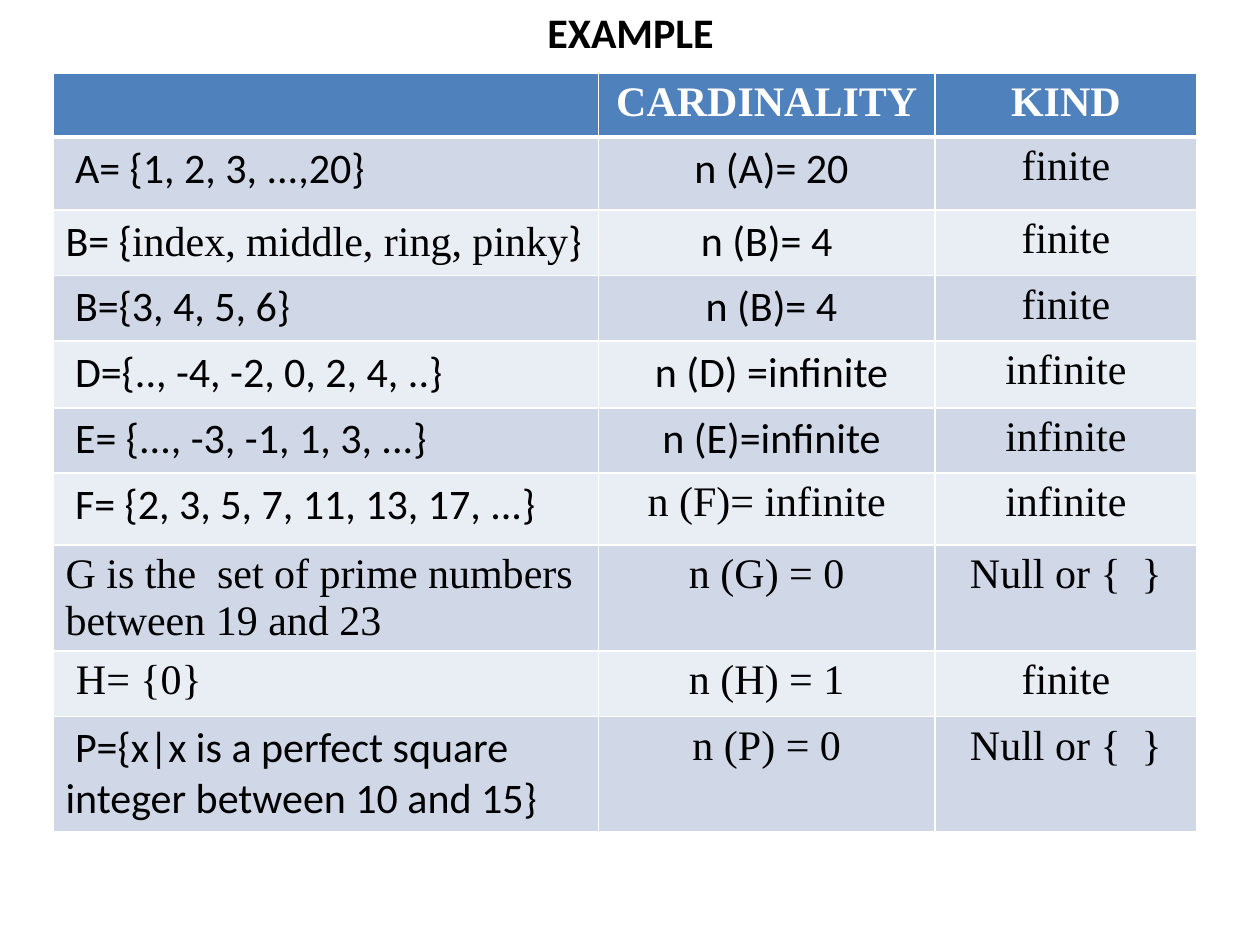
from lxml.etree import SubElement
from pptx import Presentation
from pptx.dml.color import RGBColor
from pptx.enum.text import MSO_ANCHOR, PP_ALIGN
from pptx.oxml.ns import qn
from pptx.util import Inches, Pt

WHITE = RGBColor(0xFF, 0xFF, 0xFF)
BLACK = RGBColor(0, 0, 0)
BLUE = RGBColor(0x4F, 0x81, 0xBD)
BANDS = (RGBColor(0xD0, 0xD8, 0xE8), RGBColor(0xE9, 0xED, 0xF4))
SANS, SERIF = "Calibri", "Times New Roman"
SIZE = Pt(24)

COLUMNS = (4.33, 2.67, 2.08)
ROWS = (0.5, 0.58, 0.52, 0.52, 0.53, 0.52, 0.57, 0.84, 0.52, 0.91)
HEADER = ("", "CARDINALITY", "KIND")
# Each row: set, cardinality, kind, then the fonts of the first two columns
SETS = (
    (" A= {1, 2, 3, ...,20}", " n (A)= 20", "finite", SANS, SANS),
    (("B= {", "index, middle, ring, pinky", "}"), "n (B)= 4", "finite", SANS, SANS),
    (" B={3, 4, 5, 6}", " n (B)= 4", "finite", SANS, SANS),
    (" D={.., -4, -2, 0, 2, 4, ..}", " n (D) =infinite", "infinite", SANS, SANS),
    (" E= {..., -3, -1, 1, 3, ...}", " n (E)=infinite", "infinite", SANS, SANS),
    (" F= {2, 3, 5, 7, 11, 13, 17, ...}", "n (F)= infinite", "infinite", SANS, SERIF),
    ("G is the  set of prime numbers between 19 and 23", "n (G) = 0", "Null or {  }",
     SERIF, SERIF),
    (" H= {0}", "n (H) = 1", "finite", SERIF, SERIF),
    (" P={x|x is a perfect square integer between 10 and 15}", "n (P) = 0", "Null or {  }",
     SANS, SERIF),
)


def style_run(r, font, color=BLACK, bold=False):
    r.font.name, r.font.size, r.font.bold = font, SIZE, bold
    r.font.color.rgb = color


def add_title(s, left, top, width, height):
    tf = s.shapes.add_textbox(*map(Inches, (left, top, width, height))).text_frame
    tf.word_wrap = True
    tf.vertical_anchor = MSO_ANCHOR.MIDDLE
    p = tf.paragraphs[0]
    p.text = "EXAMPLE"
    p.alignment = PP_ALIGN.CENTER
    style_run(p.runs[0], SANS, bold=True)


def set_borders(cell, top, bottom):
    """Draw white cell borders; top and bottom are widths in points."""
    tc_pr = cell._tc.get_or_add_tcPr()
    for tag, width in (("a:lnL", 1), ("a:lnR", 1), ("a:lnT", top), ("a:lnB", bottom)):
        line = SubElement(tc_pr, qn(tag), w=str(Pt(width)))
        fill = SubElement(line, qn("a:solidFill"))
        SubElement(fill, qn("a:srgbClr"), val=str(WHITE))


def fill_cell(cell, parts, fonts, fill, color=BLACK, bold=False, align=None):
    cell.fill.solid()
    cell.fill.fore_color.rgb = fill
    p = cell.text_frame.paragraphs[0]
    p.alignment = align
    p.font.size = SIZE
    for part, font in zip(parts, fonts):
        if part:
            r = p.add_run()
            r.text = part
            style_run(r, font, color, bold)


def add_sets_table(s, left, top):
    box = (left, top, sum(COLUMNS), sum(ROWS))
    table = s.shapes.add_table(len(ROWS), len(COLUMNS), *map(Inches, box)).table
    for column, width in zip(table.columns, COLUMNS):
        column.width = Inches(width)
    for i, (row, height) in enumerate(zip(table.rows, ROWS)):
        row.height = Inches(height)
        for cell in row.cells:
            set_borders(cell, 3 if i == 1 else 1, 3 if i == 0 else 1)

    for j, heading in enumerate(HEADER):
        fill_cell(table.cell(0, j), [heading], [SERIF], BLUE, WHITE, True, PP_ALIGN.CENTER)
    for i, (members, cardinality, kind, *fonts) in enumerate(SETS):
        for j, (content, font) in enumerate(zip((members, cardinality, kind), (*fonts, SERIF))):
            parts = [content] if isinstance(content, str) else content
            fill_cell(table.cell(i + 1, j), parts, (font, SERIF, font), BANDS[i % 2],
                      align=PP_ALIGN.CENTER if j else PP_ALIGN.LEFT)


def main():
    prs = Presentation()
    prs.slide_width, prs.slide_height = Inches(10), Inches(7.5)
    s = prs.slides.add_slide(prs.slide_layouts[6])
    add_sets_table(s, 0.42, 0.58)
    add_title(s, 4.17, 0, 1.67, 0.5)
    prs.save("out.pptx")


if __name__ == "__main__":
    main()
